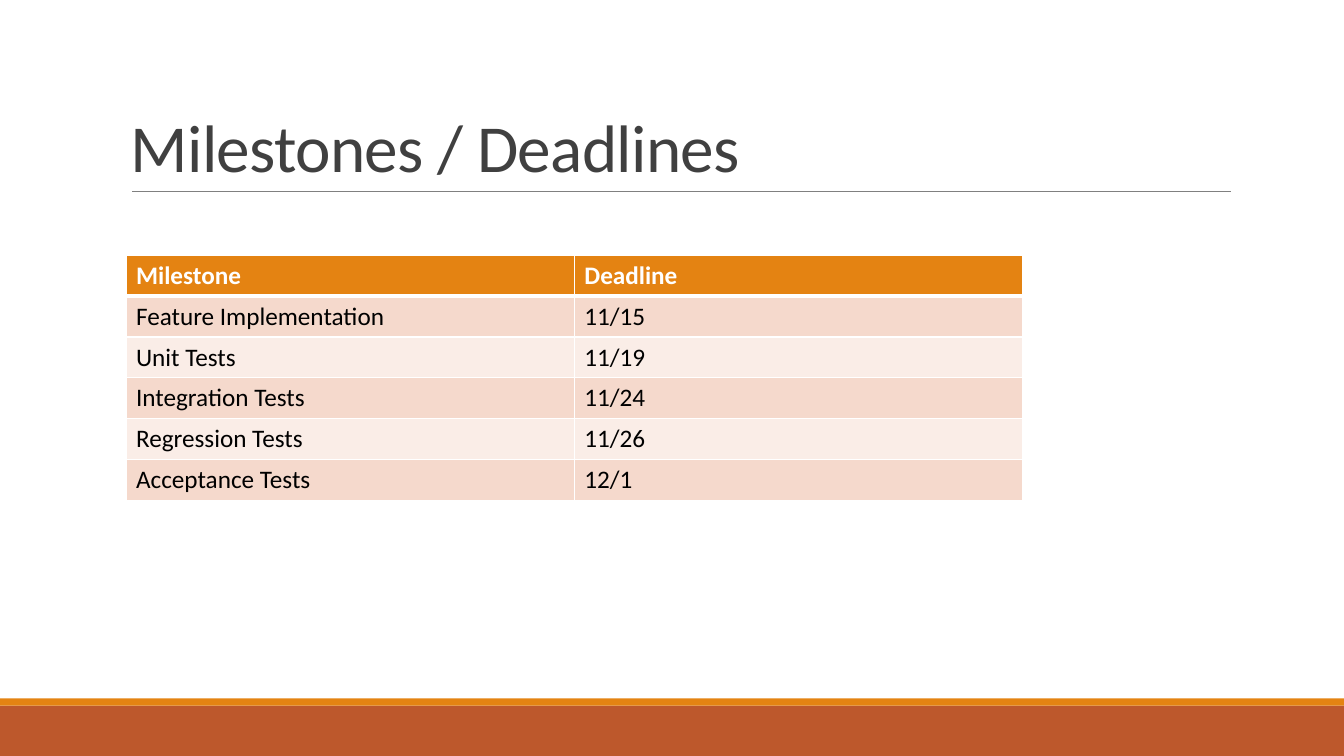
from lxml.etree import SubElement as Sub
from pptx import Presentation
from pptx.dml.color import RGBColor as Rgb
from pptx.enum.shapes import MSO_CONNECTOR as Link, MSO_SHAPE as Form
from pptx.enum.text import MSO_ANCHOR as Anchor
from pptx.oxml.ns import qn
from pptx.util import Pt

PX = 9525
ORANGE, RUST, WHITE = "E48312", "BD582C", "FFFFFF"
BANDS = "F5D9CC", "FAEDE7"
ROWS = [
    ("Milestone", "Deadline"),
    ("Feature Implementation", "11/15"),
    ("Unit Tests", "11/19"),
    ("Integration Tests", "11/24"),
    ("Regression Tests", "11/26"),
    ("Acceptance Tests", "12/1"),
]


def px(*sizes):
    return [size * PX for size in sizes]


def paint(fill, color):
    fill.solid()
    fill.fore_color.rgb = Rgb.from_string(color)


def write(frame, text, size=18, color="000000", bold=False, font="Calibri",
          lead=None, track=None):
    """Fill a text frame; track is letter spacing in hundredths of a point."""
    para = frame.paragraphs[0]
    para.line_spacing = lead
    run = para.add_run()
    run.text = text
    run.font.name, run.font.size, run.font.bold = font, Pt(size), bold
    paint(run.font.fill, color)
    if track is not None:
        run.font._element.set("spc", str(track))


def edge(cell, side, width, color=WHITE):
    """Draw one cell border; side is L, R, T or B."""
    line = Sub(cell._tc.get_or_add_tcPr(), qn(f"a:ln{side}"), w=str(Pt(width)))
    Sub(Sub(line, qn("a:solidFill")), qn("a:srgbClr"), val=color)


class Board:
    def __init__(self, deck):
        self.shapes = deck.slides.add_slide(deck.slide_layouts[6]).shapes

    def bar(self, x, y, w, h, color):
        bar = self.shapes.add_shape(Form.RECTANGLE, *px(x, y, w, h))
        bar.shadow.inherit = False
        paint(bar.fill, color)
        bar.line.fill.background()

    def rule(self, x, y, end, color, width):
        rule = self.shapes.add_connector(Link.STRAIGHT, *px(x, y, end, y))
        paint(rule.line.fill, color)
        rule.line.width = Pt(width)
        Sub(rule._element.spPr, qn("a:effectLst"))

    def title(self, x, y, w, h, text):
        frame = self.shapes.add_textbox(*px(x, y, w, h)).text_frame
        frame.word_wrap = True
        frame.vertical_anchor = Anchor.BOTTOM
        write(frame, text, size=48, color="404040", lead=0.85, track=-50)

    def table(self, x, y, wide, high, rows):
        """Draw a header row and banded rows; wide and high size one cell."""
        count = len(rows[0])
        box = px(x, y, wide * count, high * len(rows))
        table = self.shapes.add_table(len(rows), count, *box).table
        for r, row in enumerate(rows):
            head = r == 0
            for c, text in enumerate(row):
                cell = table.cell(r, c)
                for side in "LRTB":
                    thick = (head and side == "B") or (r == 1 and side == "T")
                    edge(cell, side, 3 if thick else 1)
                paint(cell.fill, ORANGE if head else BANDS[(r - 1) % 2])
                write(cell.text_frame, text, bold=head,
                      color=WHITE if head else "000000")


def main():
    deck = Presentation()
    deck.slide_width, deck.slide_height = px(1280, 720)
    board = Board(deck)
    board.bar(0, 672, 1280, 48, RUST)
    board.bar(0, 665, 1280, 7, ORANGE)
    board.rule(126, 182, 1172, "808080", 0.5)
    board.title(115, 30, 1056, 152, "Milestones / Deadlines")
    board.table(120, 243, 427, 39, ROWS)
    deck.save("out.pptx")


if __name__ == "__main__":
    main()
